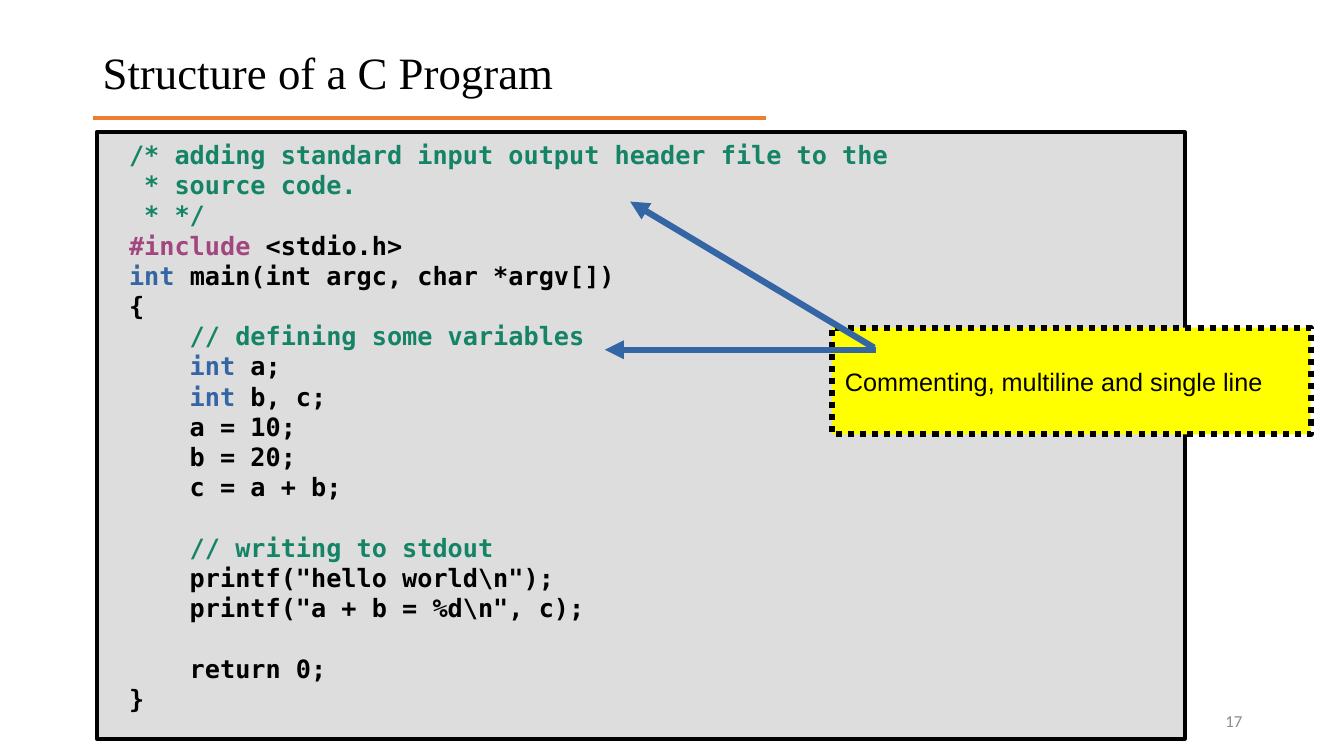
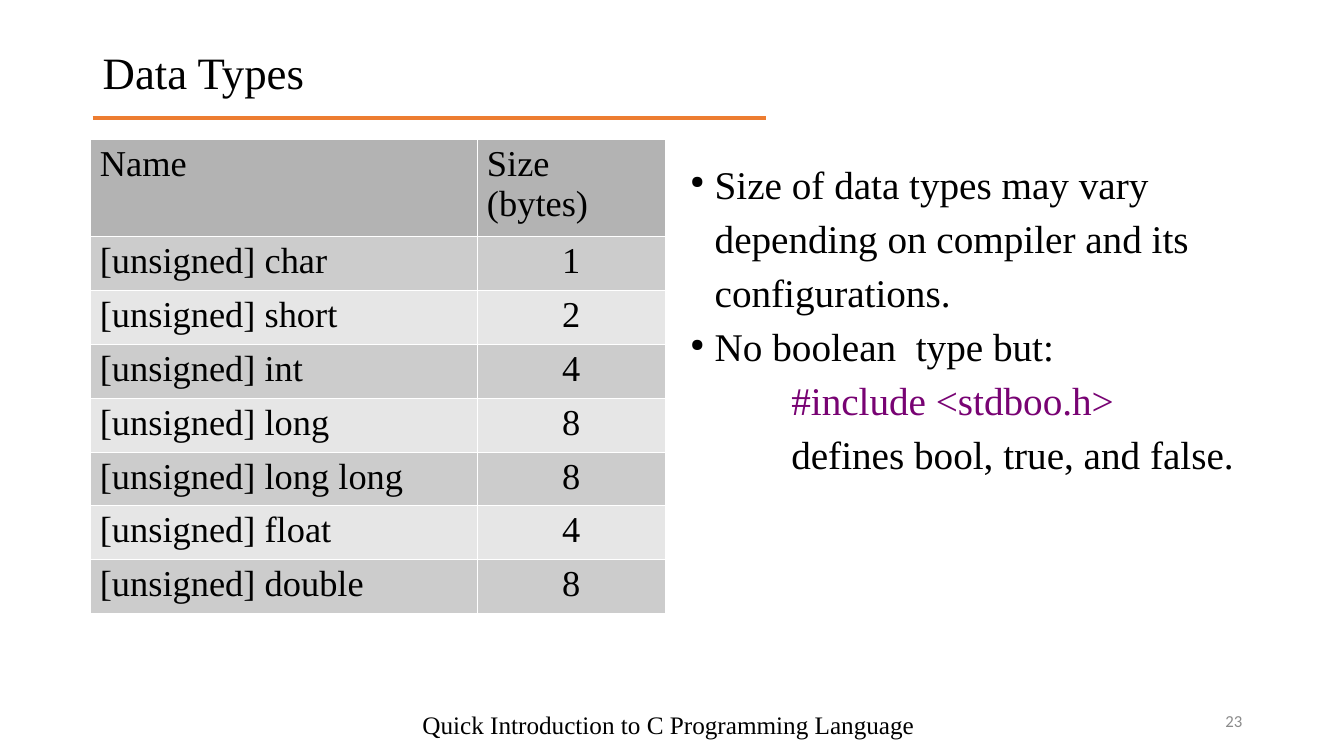
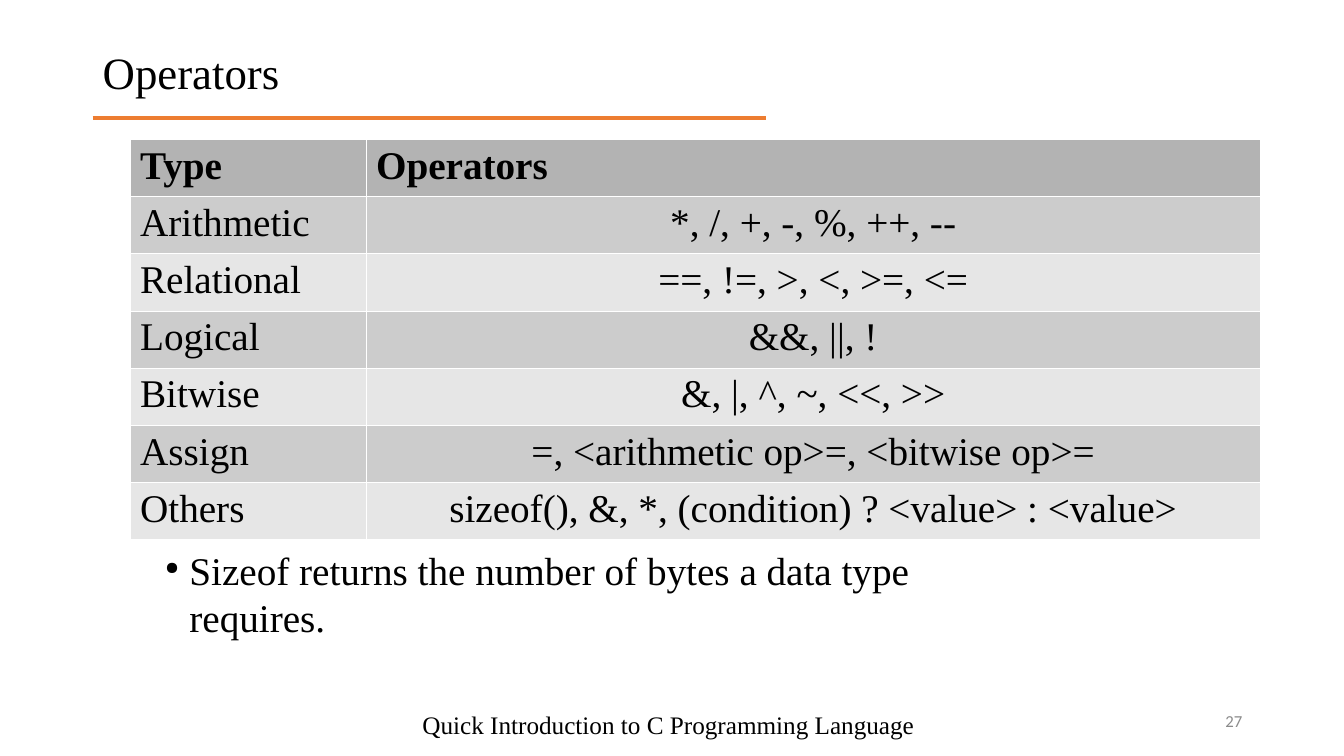
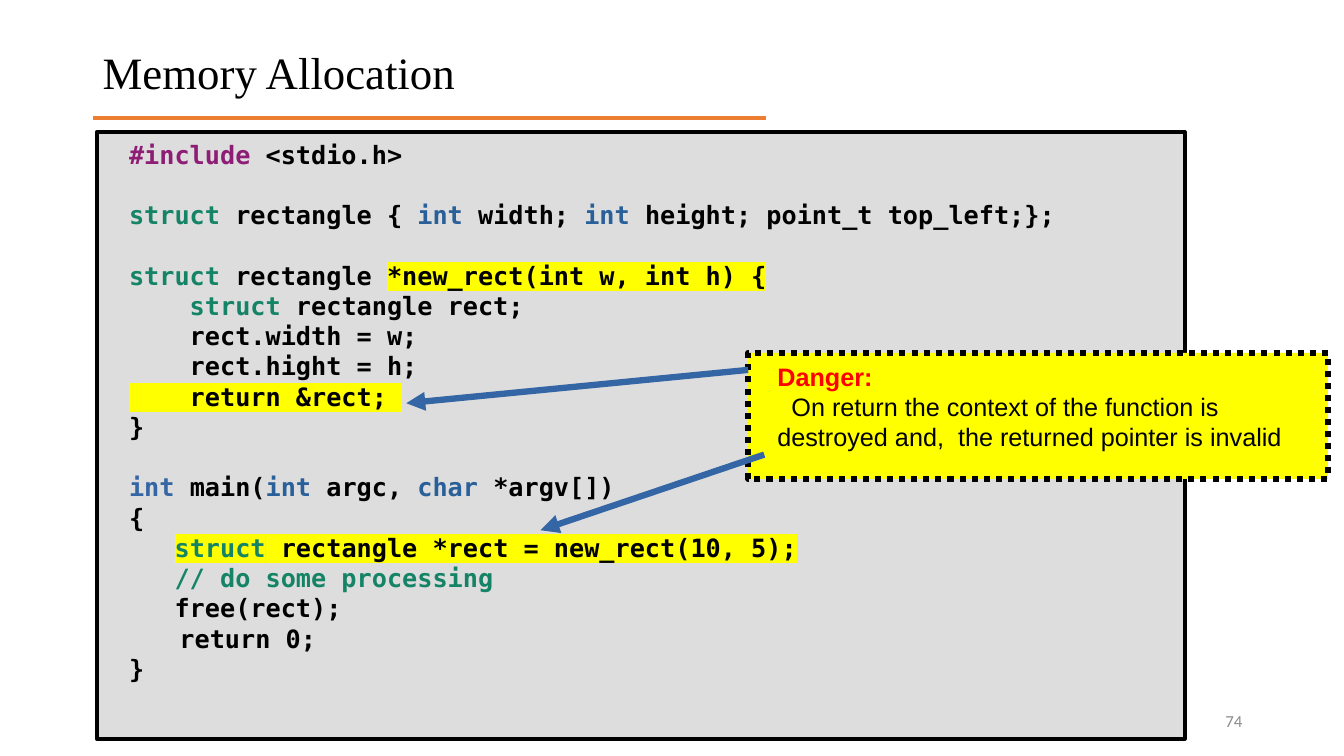
from lxml import etree
from pptx import Presentation, util as u
from pptx.dml.color import RGBColor
from pptx.enum import dml, shapes, text
from pptx.oxml import ns

# Palette and fonts
BLACK = RGBColor(0, 0, 0)
WHITE = RGBColor(255, 255, 255)
ORANGE = RGBColor(0xED, 0x7D, 0x31)
GRAY = RGBColor(0x8B, 0x8B, 0x8B)
PANEL = RGBColor(0xDD, 0xDD, 0xDD)
HEAD = RGBColor(0xB3, 0xB3, 0xB3)
BANDS = RGBColor(0xCC, 0xCC, 0xCC), RGBColor(0xE6, 0xE6, 0xE6)
YELLOW = RGBColor(255, 255, 0)
RED = RGBColor(255, 0, 0)
BLUE = RGBColor(0x34, 0x65, 0xA4)
NAVY = RGBColor(0x2A, 0x60, 0x99)
GREEN = RGBColor(0x15, 0x84, 0x66)
ROSE = RGBColor(0xA1, 0x46, 0x7E)
PLUM = RGBColor(0x8D, 0x1D, 0x75)
PURPLE = RGBColor(0x78, 0x03, 0x73)
SERIF, SANS, MONO = "Times New Roman", "Arial", "DejaVu Sans Mono"
FOOTER = "Quick Introduction to C Programming Language"
LEFT, CENTER, RIGHT = text.PP_ALIGN.LEFT, text.PP_ALIGN.CENTER, text.PP_ALIGN.RIGHT

# Code: each line is a list of (text, colour[, highlight]) runs
BASICS = [
    [("/* adding standard input output header file to the", GREEN)],
    [(" * source code.", GREEN)],
    [(" * */", GREEN)],
    [("#include ", ROSE), ("<stdio.h>", BLACK)],
    [("int", BLUE), (" main(int argc, char *argv[])", BLACK)],
    [("{", BLACK)],
    [("    // defining some variables", GREEN)],
    [("    int", BLUE), (" a;", BLACK)],
    [("    int", BLUE), (" b, c;", BLACK)],
    [("    a = 10;", BLACK)],
    [("    b = 20;", BLACK)],
    [("    c = a + b;", BLACK)],
    [],
    [("    // writing to stdout", GREEN)],
    [('    printf("hello world\\n");', BLACK)],
    [('    printf("a + b = %d\\n", c);', BLACK)],
    [],
    [("    return 0;", BLACK)],
    [("}", BLACK)],
]
MEMORY = [
    [("#include", PLUM), (" <stdio.h>", BLACK)],
    [],
    [("struct", GREEN), (" rectangle { ", BLACK), ("int", NAVY), (" width; ", BLACK),
     ("int", NAVY), (" height; point_t top_left;};", BLACK)],
    [],
    [("struct", GREEN), (" rectangle ", BLACK),
     ("*new_rect(int w, int h) {", BLACK, YELLOW)],
    [("    struct", GREEN), (" rectangle rect;", BLACK)],
    [("    rect.width = w;", BLACK)],
    [("    rect.hight = h;", BLACK)],
    [("    return &rect; ", BLACK, YELLOW)],
    [("}", BLACK)],
    [],
    [("int", BLUE), (" main(", BLACK), ("int", NAVY), (" argc, ", BLACK),
     ("char", NAVY), (" *argv[])", BLACK)],
    [("{", BLACK)],
    [("   ", BLACK), ("struct", GREEN, YELLOW),
     (" rectangle *rect = new_rect(10, 5);", BLACK, YELLOW)],
    [("   // do some processing", GREEN)],
    [("   free(rect);", BLACK)],
    [("\treturn 0;", BLACK)],
    [("}", BLACK)],
]

# Tables
TYPES = [("Name", "Size (bytes)")] + [
    ("[unsigned] " + name, size) for name, size in (
        ("char", "1"), ("short", "2"), ("int", "4"), ("long", "8"),
        ("long long", "8"), ("float", "4"), ("double", "8"))]
OPS = [
    ("Type", "Operators"),
    ("Arithmetic", "*, /, +, -, %, ++, --"),
    ("Relational", "==, !=, >, <, >=, <="),
    ("Logical", "&&, ||, !"),
    ("Bitwise", "&, |, ^, ~, <<, >>"),
    ("Assign", "=, <arithmetic op>=, <bitwise op>="),
    ("Others", "sizeof(), &, *, (condition) ? <value> : <value>"),
]

# Notes beside the tables: (text, colour, has bullet)
SIZES = [
    ("Size of data types may vary depending on compiler and its configurations.",
     BLACK, True),
    ("No boolean  type but:", BLACK, True),
    ("#include <stdboo.h>", PURPLE, False),
    ("defines bool, true, and false.", BLACK, False),
]
SIZEOF = [("Sizeof returns the number of bytes a data type requires.", BLACK, True)]

# Slides
DECK = [
    dict(title="Structure of a C Program", num="17", code=BASICS,
         call=dict(at=(8.25, 3.25, 4.75, 1.06), paras=[
             ("Commenting, multiline and single line", BLACK, False, 0, 0)]),
         arrows=[(8.67, 3.45, 6.25, 2), (8.69, 3.47, 6, 3.47)]),
    dict(title="Data Types", num="23",
         table=dict(rows=TYPES, at=(0.89, 1.38), cols=(3.84, 1.87), row=0.48, size=26),
         notes=dict(items=SIZES, at=(6.75, 1.47, 6.25, 2.33), space=1.15)),
    dict(title="Operators", num="27",
         table=dict(rows=OPS, at=(1.29, 1.38), cols=(2.34, 8.87), row=0.49, size=28,
                    bold=True),
         notes=dict(items=SIZEOF, at=(1.54, 5.37, 8.95, 0.87), space=1)),
    dict(title="Memory Allocation", num="74", code=MEMORY,
         call=dict(at=(7.42, 3.5, 5.75, 1.25), top=True, paras=[
             ("Danger:", RED, True, 0.16, 0),
             ("On return the context of the function is destroyed and,"
              "  the returned pointer is invalid", BLACK, False, 0.16, 0.14)]),
         arrows=[(7.42, 3.67, 4.03, 4), (7.58, 4.51, 5.36, 5.26)]),
]


def inch(*vals):
    return [u.Inches(v) for v in vals]


def sub(parent, tag, **attrs):
    return etree.SubElement(parent, ns.qn(tag), attrs)


def add_run(para, words, size, font, color, bold=False, mark=None):
    run = para.add_run()
    run.text = words
    run.font.size, run.font.name, run.font.bold = u.Pt(size), font, bold
    run.font.color.rgb = color
    if mark:
        glow = etree.Element(ns.qn("a:highlight"))
        sub(glow, "a:srgbClr", val=str(mark))
        run._r.rPr.find(ns.qn("a:solidFill")).addnext(glow)


def indent(para, left, first=0):
    props = para._p.get_or_add_pPr()
    props.set("marL", str(u.Inches(left)))
    props.set("indent", str(u.Inches(first)))
    return props


def paras(frame, items):
    """Yield one paragraph for each item."""
    for i, item in enumerate(items):
        yield (frame.add_paragraph() if i else frame.paragraphs[0]), item


def add_text(slide, at, words, size, font, color, align=LEFT):
    frame = slide.shapes.add_textbox(*inch(*at)).text_frame
    frame.word_wrap = True
    frame.vertical_anchor = text.MSO_ANCHOR.MIDDLE
    para = frame.paragraphs[0]
    para.alignment = align
    add_run(para, words, size, font, color)
    return para


def add_line(slide, ends, color, width, arrow=False):
    line = slide.shapes.add_connector(shapes.MSO_CONNECTOR.STRAIGHT, *inch(*ends))
    line.line.color.rgb, line.line.width = color, u.Pt(width)
    if arrow:
        sub(line.line._get_or_add_ln(), "a:tailEnd", type="triangle")
    sub(line._element.spPr, "a:effectLst")


def add_panel(slide, at, fill, width, pad, anchor=text.MSO_ANCHOR.TOP):
    box = slide.shapes.add_shape(shapes.MSO_SHAPE.RECTANGLE, *inch(*at))
    box.shadow.inherit = False
    box.fill.solid()
    box.fill.fore_color.rgb = fill
    box.line.color.rgb, box.line.width = BLACK, u.Pt(width)
    frame = box.text_frame
    frame.word_wrap, frame.vertical_anchor = True, anchor
    frame.margin_left = frame.margin_right = u.Inches(pad)
    frame.margin_top = frame.margin_bottom = u.Inches(pad - 0.05)
    return box


def add_code(slide, lines):
    box = add_panel(slide, (0.96, 1.31, 10.79, 6.02), PANEL, 2.89, 0.12)
    for para, runs in paras(box.text_frame, lines):
        indent(para, 0.2)
        para.alignment = LEFT
        for words, color, *mark in runs:
            add_run(para, words, 18, MONO, color, True, *mark)
        if not runs:
            end = sub(para._p, "a:endParaRPr", sz="1800", b="1")
            sub(end, "a:latin", typeface=MONO)


def add_call(slide, at, paras_, top=False):
    anchor = text.MSO_ANCHOR.TOP if top else text.MSO_ANCHOR.MIDDLE
    box = add_panel(slide, at, YELLOW, 4.31, 0.13, anchor)
    box.line.dash_style = dml.MSO_LINE.ROUND_DOT
    for para, (words, color, bold, left, first) in paras(box.text_frame, paras_):
        indent(para, left, first)
        para.alignment = LEFT
        add_run(para, words, 18, SANS, color, bold)


def add_notes(slide, items, at, space):
    frame = slide.shapes.add_textbox(*inch(*at)).text_frame
    frame.word_wrap = True
    for para, (words, color, dot) in paras(frame, items):
        para.line_spacing = space
        if dot:
            props = indent(para, 0.24, -0.24)
            sub(sub(props, "a:buClr"), "a:srgbClr", val=str(BLACK))
            sub(props, "a:buSzPct", val="45000")
            sub(props, "a:buChar", char="●")
        else:
            indent(para, 1)
        add_run(para, words, 28, SERIF, color)


def add_grid(slide, rows, at, cols, row, size, bold=False):
    area = inch(*at, sum(cols), row * len(rows))
    grid = slide.shapes.add_table(len(rows), len(cols), *area).table
    for col, width in zip(grid.columns, cols):
        col.width = u.Inches(width)
    for r, words in enumerate(rows):
        grid.rows[r].height = u.Inches(row)
        for c, word in enumerate(words):
            cell = grid.cell(r, c)
            cell.fill.solid()
            cell.fill.fore_color.rgb = BANDS[(r - 1) % 2] if r else HEAD
            para = cell.text_frame.paragraphs[0]
            para.alignment = CENTER if r and c else LEFT
            add_run(para, word, size, SERIF, BLACK, bold and r == 0)
            # Hairline borders go before the fill
            for i, side in enumerate("LRTB"):
                edge = etree.Element(ns.qn("a:ln" + side), w=str(u.Pt(0.06)))
                sub(sub(edge, "a:solidFill"), "a:srgbClr", val=str(WHITE))
                cell._tc.tcPr.insert(i, edge)


def add_frame(slide, title, num, footer):
    add_line(slide, (0.92, 1.17, 7.6, 1.17), ORANGE, 3)
    if footer:
        add_text(slide, (3.26, 6.95, 6.74, 0.47), FOOTER, 18, SERIF, BLACK, CENTER)
    head = add_text(slide, (0.92, 0.02, 11.5, 1.45), title, 32, SERIF, BLACK)
    head.line_spacing = 0.9
    add_text(slide, (9.42, 6.95, 3, 0.4), num, 12, "Calibri", GRAY, RIGHT)


def main():
    prs = Presentation()
    prs.slide_width, prs.slide_height = inch(13.33, 7.5)
    for page in DECK:
        slide = prs.slides.add_slide(prs.slide_layouts[6])
        add_frame(slide, page["title"], page["num"], "code" not in page)
        if "code" in page:
            add_code(slide, page["code"])
            call = page["call"]
            add_call(slide, call["at"], call["paras"], call.get("top", False))
            for ends in page["arrows"]:
                add_line(slide, ends, BLUE, 4.5, True)
        else:
            add_grid(slide, **page["table"])
            add_notes(slide, **page["notes"])
    prs.save("out.pptx")


if __name__ == "__main__":
    main()
